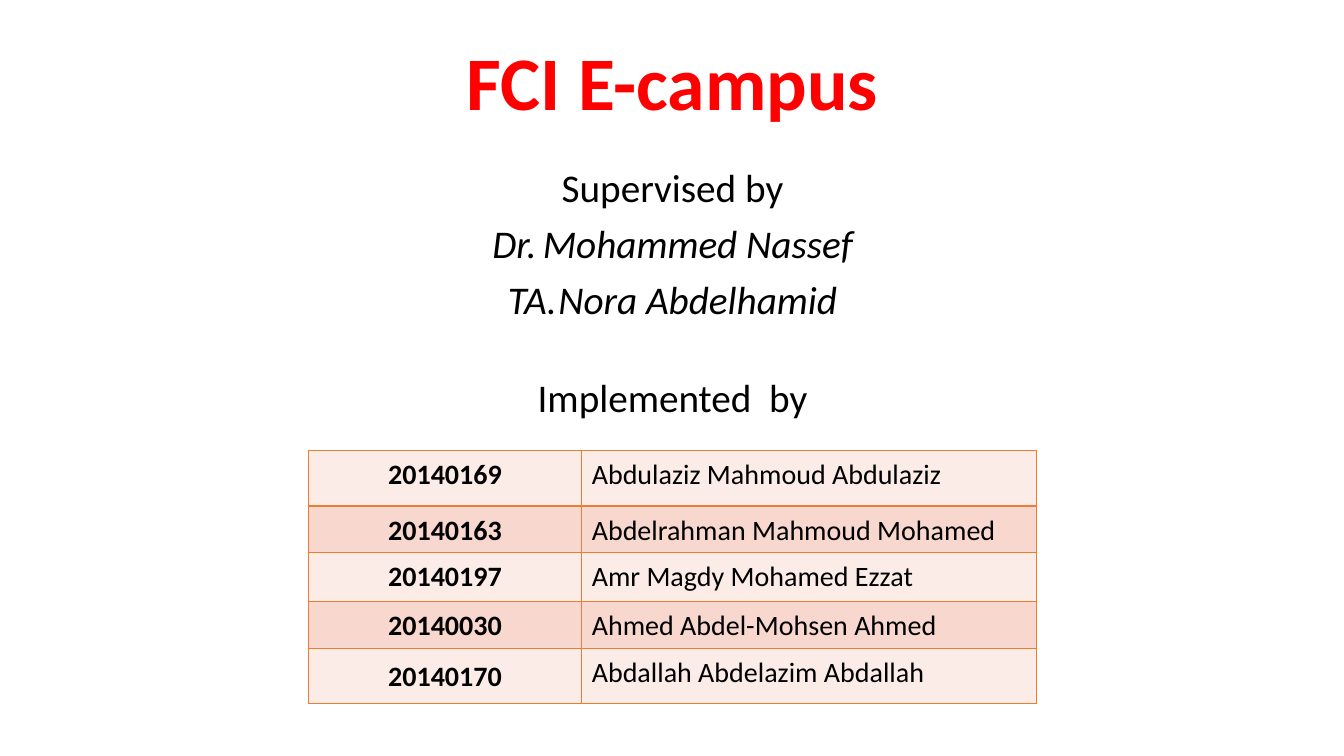
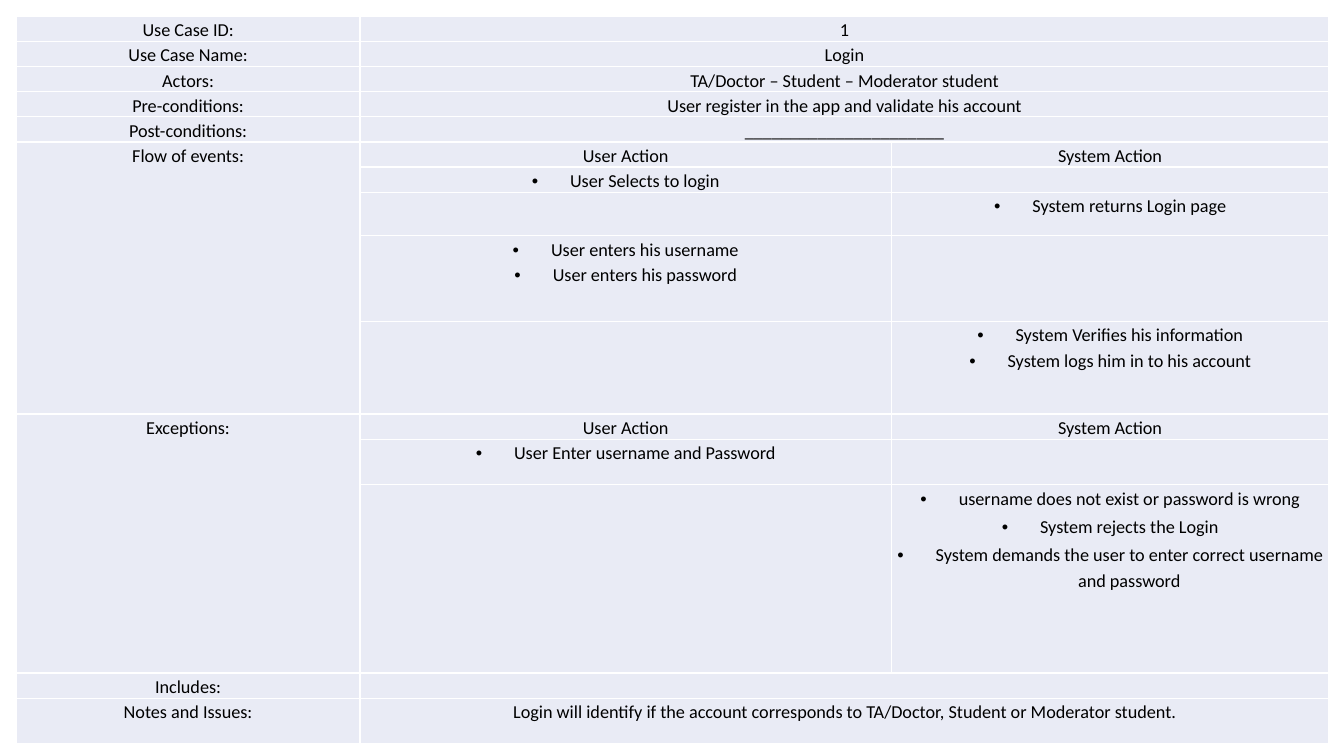
from lxml import etree
from pptx import Presentation
from pptx.dml.color import RGBColor
from pptx.enum.text import MSO_ANCHOR, PP_ALIGN
from pptx.oxml.ns import qn
from pptx.util import Inches, Pt

FONT = "Calibri"
BLACK = "000000"
WHITE = "FFFFFF"
RED = "FF0000"
ORANGE = "ED7D31"
PINK_BANDS = ("FCECE8", "F8D7CE")
LAVENDER = "E9EBF5"

MEMBERS = [
    ("20140169", "Abdulaziz Mahmoud Abdulaziz"),
    ("20140163", "Abdelrahman Mahmoud Mohamed"),
    ("20140197", "Amr Magdy Mohamed Ezzat"),
    ("20140030", "Ahmed Abdel-Mohsen Ahmed"),
    ("20140170", "Abdallah Abdelazim Abdallah"),
]
MEMBER_HEIGHTS = [0.55, 0.46, 0.49, 0.46, 0.55]

SUMMARY = [
    ("Use Case ID:", "1"),
    ("Use Case Name:", "Login"),
    ("Actors:", "TA/Doctor – Student – Moderator student"),
    ("Pre-conditions:", "User register in the app and validate his account"),
    ("Post-conditions:", "______________________"),
]
FLOW = [
    (0.24, ["User Selects to login"], []),
    (0.43, [], ["System returns Login page"]),
    (0.85, ["User enters his username", "User enters his password"], []),
    (0.92, [], ["System Verifies his information", "System logs him in to his account"]),
]
EXCEPTIONS = [
    (0.45, ["User Enter username and Password"], []),
    (1.87, [], [
        "username does not exist or password is wrong",
        "System rejects the Login",
        "System demands the user to enter correct username and password",
    ]),
]
CLOSING = [
    (0.24, "Includes:", ""),
    (0.45, "Notes and Issues:",
     "Login will identify if the account corresponds to TA/Doctor, Student or Moderator student."),
]
LINE_HEIGHT = 0.24


def rgb(color):
    return RGBColor.from_string(color)


def style_paragraph(p, size, color=BLACK, bold=False, italic=False,
                    align=PP_ALIGN.CENTER, spacing=0.9, before=0, after=0):
    p.alignment = align
    p.line_spacing = spacing
    p.space_before = Pt(before)
    p.space_after = Pt(after)
    p.font.name = FONT
    p.font.size = Pt(size)
    p.font.bold = bold
    p.font.italic = italic
    p.font.color.rgb = rgb(color)
    if not p.runs:
        p._p.get_or_add_endParaRPr().set("sz", str(size * 100))


def add_bullet(p):
    pPr = p._p.get_or_add_pPr()
    pPr.set("marL", str(Inches(0.38)))
    pPr.set("indent", str(-Inches(0.38)))
    font = etree.Element(qn("a:buFont"), typeface="Arial")
    char = etree.Element(qn("a:buChar"), char="•")
    defaults = pPr.find(qn("a:defRPr"))
    defaults.addprevious(font)
    defaults.addprevious(char)


def add_textbox(slide, left, top, width, height, anchor=MSO_ANCHOR.TOP):
    box = slide.shapes.add_textbox(Inches(left), Inches(top), Inches(width), Inches(height))
    tf = box.text_frame
    tf.word_wrap = True
    tf.vertical_anchor = anchor
    return tf


def set_borders(cell, color):
    tcPr = cell._tc.get_or_add_tcPr()
    for i, side in enumerate(("lnL", "lnR", "lnT", "lnB")):
        ln = etree.Element(qn(f"a:{side}"), w=str(Pt(1)))
        fill = etree.SubElement(ln, qn("a:solidFill"))
        etree.SubElement(fill, qn("a:srgbClr"), val=color)
        tcPr.insert(i, ln)


def add_table(slide, left, top, widths, heights, bands, border):
    frame = slide.shapes.add_table(
        len(heights), len(widths), Inches(left), Inches(top),
        Inches(sum(widths)), Inches(sum(heights)))
    table = frame.table
    table.first_row = False
    table.horz_banding = False
    for column, width in zip(table.columns, widths):
        column.width = Inches(width)
    for i, (row, height) in enumerate(zip(table.rows, heights)):
        row.height = Inches(height)
        for cell in row.cells:
            cell.fill.solid()
            cell.fill.fore_color.rgb = rgb(bands[i % len(bands)])
            set_borders(cell, border)
    return table


def fill_case_cell(cell, lines, bulleted=False):
    cell.margin_left = cell.margin_right = Inches(0.06)
    cell.margin_top = cell.margin_bottom = 0
    tf = cell.text_frame
    tf.text = "\n".join(lines)
    last = len(tf.paragraphs) - 1
    for i, p in enumerate(tf.paragraphs):
        if last > 1:
            after = 2
        else:
            after = 10 if i == last and lines else 0
        style_paragraph(p, 13, spacing=1.15, after=after)
        if bulleted and lines:
            add_bullet(p)


def add_steps(table, start, label, steps):
    end = start + len(steps)
    for col, heading in enumerate((label, "User Action", "System Action")):
        fill_case_cell(table.cell(start, col), [heading])
    for row, (_, user, system) in enumerate(steps, start + 1):
        fill_case_cell(table.cell(row, 0), [])
        fill_case_cell(table.cell(row, 1), user, bulleted=True)
        fill_case_cell(table.cell(row, 2), system, bulleted=True)
    table.cell(start, 0).merge(table.cell(end, 0))
    return end + 1


def add_fields(table, start, fields):
    for row, (label, value) in enumerate(fields, start):
        for col, text in enumerate((label, value, "")):
            fill_case_cell(table.cell(row, col), [text] if text else [])
        table.cell(row, 1).merge(table.cell(row, 2))
    return start + len(fields)


def build_cover(slide):
    tf = add_textbox(slide, 0.92, 0.31, 11.5, 1.09, MSO_ANCHOR.MIDDLE)
    tf.text = "FCI E-campus"
    style_paragraph(tf.paragraphs[0], 54, RED, bold=True)

    credits = [
        ("Supervised by", False, 10),
        ("Dr.\tMohammed Nassef", True, 10),
        ("TA.\tNora Abdelhamid", True, 10),
        ("Implemented  by", False, 39.5),
    ]
    tf = add_textbox(slide, 0.92, 1.62, 11.5, 2.75)
    tf.text = "\n".join(text for text, _, _ in credits)
    for p, (_, italic, before) in zip(tf.paragraphs, credits):
        style_paragraph(p, 28, italic=italic, before=before)

    table = add_table(slide, 3.06, 4.47, [2.71, 4.51], MEMBER_HEIGHTS, PINK_BANDS, ORANGE)
    for row, member in enumerate(MEMBERS):
        for col, text in enumerate(member):
            cell = table.cell(row, col)
            cell.text = text
            style_paragraph(cell.text_frame.paragraphs[0], 20, bold=col == 0, spacing=1.07,
                            align=PP_ALIGN.LEFT if col else PP_ALIGN.CENTER)
    table.cell(len(MEMBERS) - 1, 0).vertical_anchor = MSO_ANCHOR.MIDDLE


def build_use_case(slide):
    heights = [LINE_HEIGHT] * len(SUMMARY)
    for steps in (FLOW, EXCEPTIONS):
        heights += [LINE_HEIGHT] + [step[0] for step in steps]
    heights += [field[0] for field in CLOSING]
    table = add_table(slide, 0.16, 0.16, [3.41, 5.27, 4.34], heights, [LAVENDER], WHITE)
    row = add_fields(table, 0, SUMMARY)
    row = add_steps(table, row, "Flow of events:", FLOW)
    row = add_steps(table, row, "Exceptions:", EXCEPTIONS)
    add_fields(table, row, [field[1:] for field in CLOSING])


def main():
    prs = Presentation()
    prs.slide_width = Inches(13.33)
    prs.slide_height = Inches(7.5)
    for build in (build_cover, build_use_case):
        build(prs.slides.add_slide(prs.slide_layouts[6]))
    prs.save("out.pptx")


if __name__ == "__main__":
    main()
